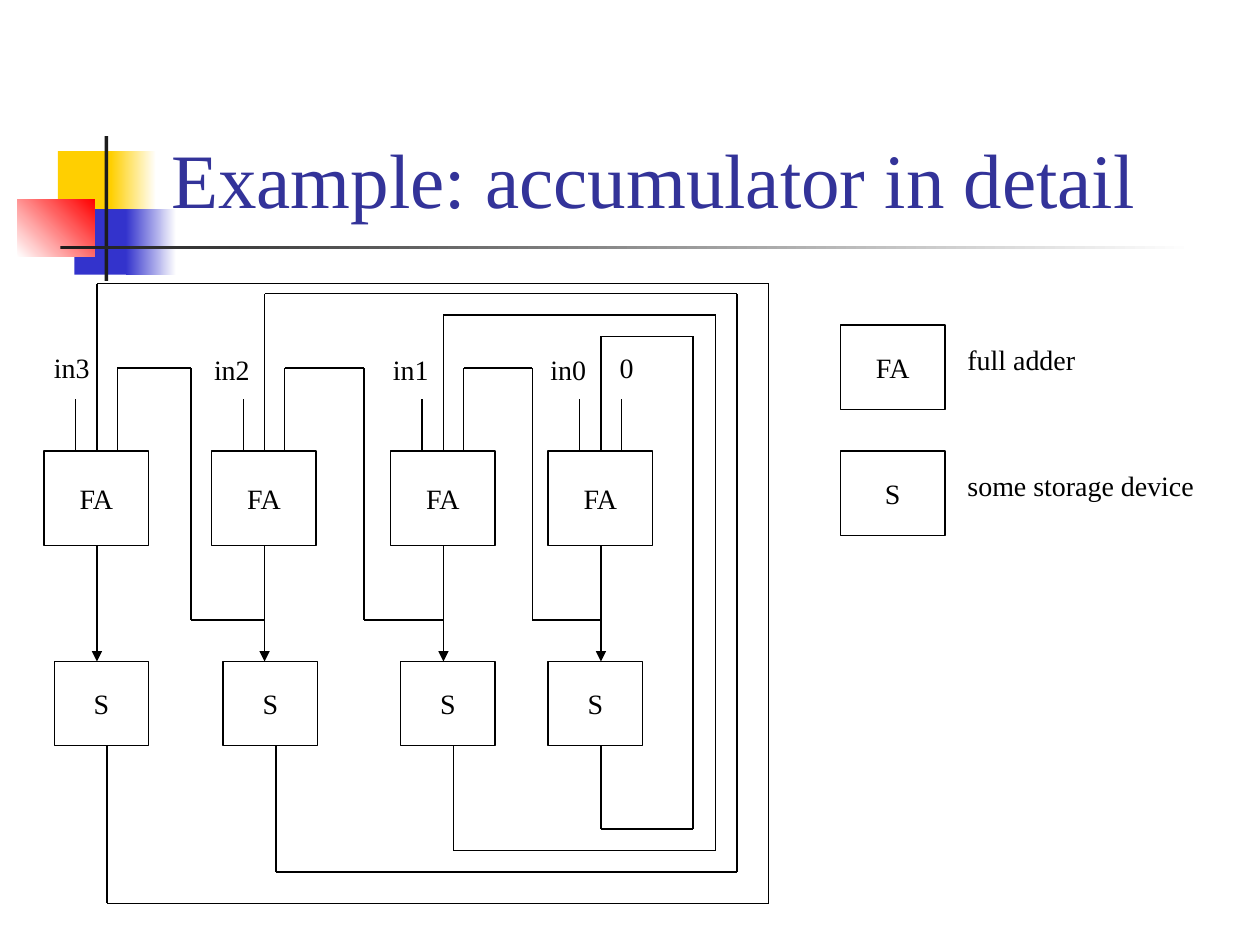
import dataclasses
import itertools
import pptx
import pptx.dml.color
import pptx.enum.shapes
import pptx.enum.text
import pptx.oxml
import pptx.oxml.ns
import pptx.util
from pptx.util import Inches


@dataclasses.dataclass(frozen=True)
class Theme:
    """Colours, font and type sizes of the slide."""
    font: str = "Times New Roman"
    head: float = 44
    body: float = 16
    line: float = 0.75
    ink: str = "000000"
    title: str = "333399"
    gold: str = "FFCF01"
    blue: str = "3333CC"
    red: str = "FF0000"
    dark: str = "1C1C1C"
    white: str = "FFFFFF"


THEME = Theme()


def rgb(code):
    """Turn a hex code into a colour."""
    return pptx.dml.color.RGBColor.from_string(code)


def style(para, size, color):
    """Set the font of a paragraph."""
    para.font.name = THEME.font
    para.font.size = pptx.util.Pt(size)
    para.font.color.rgb = rgb(color)


def rect(slide, x, y, w, h):
    """Add a plain rectangle without shadow."""
    shape = slide.shapes.add_shape(
        pptx.enum.shapes.MSO_SHAPE.RECTANGLE,
        Inches(x), Inches(y), Inches(w), Inches(h))
    shape.shadow.inherit = False
    return shape


def patch(slide, x, y, w, h, start, end=None, angle=0):
    """Add a borderless block in one colour or a gradient."""
    shape = rect(slide, x, y, w, h)
    shape.line.fill.background()
    if end is None:
        shape.fill.solid()
        shape.fill.fore_color.rgb = rgb(start)
        return
    shape.fill.gradient()
    shape.fill.gradient_angle = angle
    for stop, color in zip(shape.fill.gradient_stops, (start, end)):
        stop.color.rgb = rgb(color)


def node(slide, x, y, w, h, text):
    """Add an outlined box with a centred label."""
    shape = rect(slide, x, y, w, h)
    shape.fill.background()
    shape.line.color.rgb = rgb(THEME.ink)
    shape.line.width = pptx.util.Pt(THEME.line)
    frame = shape.text_frame
    frame.word_wrap = False
    frame.vertical_anchor = pptx.enum.text.MSO_ANCHOR.MIDDLE
    para = frame.paragraphs[0]
    para.text = text
    para.alignment = pptx.enum.text.PP_ALIGN.CENTER
    style(para, THEME.body, THEME.ink)


def label(slide, x, y, w, text):
    """Add a one-line text box."""
    box = slide.shapes.add_textbox(Inches(x), Inches(y), Inches(w), Inches(0.37))
    frame = box.text_frame
    frame.word_wrap = False
    frame.auto_size = pptx.enum.text.MSO_AUTO_SIZE.SHAPE_TO_FIT_TEXT
    para = frame.paragraphs[0]
    para.text = text
    style(para, THEME.body, THEME.ink)


def wire(slide, *points, arrow=False):
    """Join points with straight lines, with an arrowhead if asked."""
    for start, end in itertools.pairwise(points):
        line = slide.shapes.add_connector(
            pptx.enum.shapes.MSO_CONNECTOR.STRAIGHT,
            *(Inches(value) for value in start + end))
        line.line.color.rgb = rgb(THEME.ink)
        line.line.width = pptx.util.Pt(THEME.line)
        props = line._element.spPr
        pptx.oxml.ns.qn("a:effectLst")
        if arrow:
            tail = props.find(pptx.oxml.ns.qn("a:ln"))
            tail.append(pptx.oxml.parse_xml(
                f'<a:tailEnd {pptx.oxml.ns.nsdecls("a")} type="triangle"/>'))
        props.append(pptx.oxml.parse_xml(
            f'<a:effectLst {pptx.oxml.ns.nsdecls("a")}/>'))


def emblem(slide, x, y):
    """Draw the coloured blocks and rules beside the title."""
    patch(slide, x + 0.32, y + 0.12, 0.48, 0.52, THEME.gold)
    patch(slide, x + 0.74, y + 0.12, 0.36, 0.52, THEME.gold, THEME.white)
    patch(slide, x + 0.45, y + 0.58, 0.46, 0.52, THEME.blue)
    patch(slide, x + 0.86, y + 0.58, 0.4, 0.52, THEME.blue, THEME.white)
    patch(slide, x, y + 0.5, 0.61, 0.46, THEME.white, THEME.red, 45)
    patch(slide, x + 0.69, y, 0.03, 1.15, THEME.dark)
    patch(slide, x + 0.34, y + 0.87, 9, 0.03, THEME.dark, THEME.white)


def heading(slide, x, y, w, h, text):
    """Place and format the title."""
    title = slide.shapes.title
    title.left, title.top = Inches(x), Inches(y)
    title.width, title.height = Inches(w), Inches(h)
    frame = title.text_frame
    frame.auto_size = pptx.enum.text.MSO_AUTO_SIZE.NONE
    frame.vertical_anchor = pptx.enum.text.MSO_ANCHOR.BOTTOM
    para = frame.paragraphs[0]
    para.text = text
    para.alignment = pptx.enum.text.PP_ALIGN.LEFT
    style(para, THEME.head, THEME.title)


def circuit(slide, x, y):
    """Draw the four adder stages with carries and feedback loops."""
    stages = [
        ("in3", 0, 0.08, -0.02, 0.48, 4.92, 5.75, 0),
        ("in2", 1.33, 1.42, 1.25, 0.5, 4.67, 5.5, 0.08),
        ("in1", 2.75, 2.83, 2.67, 0.5, 4.5, 5.33, 0.25),
        ("in0", 4, 4, 3.92, 0.5, 4.33, 5.15, 0.42),
    ]
    adder, store = y + 1.33, y + 3
    entry, fork, crest = y + 0.92, y + 2.67, y + 0.67
    for name, left, cell, tag, drop, low, right, high in stages:
        mid, out = x + left + 0.42, x + cell + 0.42
        node(slide, x + left, adder, 0.83, 0.75, "FA")
        node(slide, x + cell, store, 0.75, 0.67, "S")
        label(slide, x + tag, y + drop, 0.49, name)
        wire(slide, (x + left + 0.25, entry), (x + left + 0.25, adder))
        wire(slide, (mid, adder + 0.75), (mid, store), arrow=True)
        wire(slide, (out, store + 0.67), (out, y + low), (x + right, y + low),
             (x + right, y + high), (mid, y + high), (mid, adder))
    for stage, source in itertools.pairwise(stages):
        start, end = x + source[1] + 0.42, x + stage[1] + 0.58
        bend = (start + end) / 2
        wire(slide, (start, fork), (bend, fork), (bend, crest),
             (end, crest), (end, adder))
    last = x + stages[-1][1] + 0.58
    wire(slide, (last, entry), (last, adder))
    label(slide, x + 4.47, y + 0.48, 0.31, "0")


def legend(slide, x, y):
    """Explain the two kinds of box."""
    rows = [("FA", "full adder", 1.06), ("S", "some storage device", 2.01)]
    for row, (sign, text, width) in enumerate(rows):
        node(slide, x, y + row, 0.83, 0.67, sign)
        label(slide, x + 0.91, y + row + 0.09, width, text)


def main():
    """Build and save the slide."""
    deck = pptx.Presentation()
    deck.slide_width, deck.slide_height = Inches(10), Inches(7.5)
    slide = deck.slides.add_slide(deck.slide_layouts[5])
    emblem(slide, 0.14, 1.08)
    heading(slide, 1.26, 0.23, 8.52, 1.6, "Example: accumulator in detail")
    circuit(slide, 0.35, 2.25)
    legend(slide, 6.67, 2.58)
    deck.save("out.pptx")


if __name__ == "__main__":
    main()
